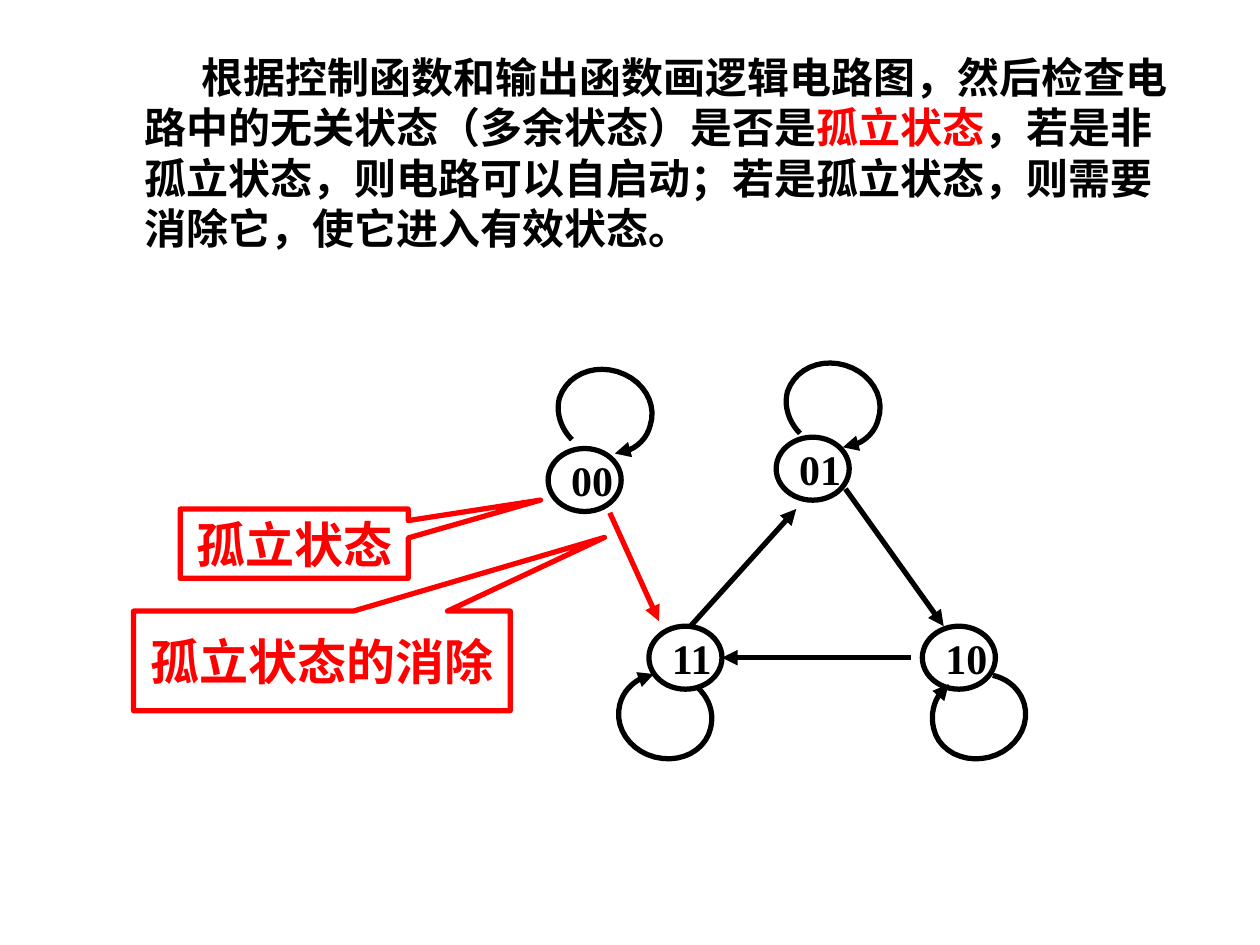
import pptx
import pptx.util
import pptx.dml.color
import pptx.enum.shapes
import pptx.enum.text
import pptx.oxml.ns
from lxml import etree

Inches = pptx.util.Inches
Pt = pptx.util.Pt
RGBColor = pptx.dml.color.RGBColor
Shape = pptx.enum.shapes.MSO_SHAPE
Anchor = pptx.enum.text.MSO_ANCHOR
qn = pptx.oxml.ns.qn

BLACK = RGBColor(0, 0, 0)
RED = RGBColor(255, 0, 0)

DIAGRAM_BOX = (4.35, 2.88, 3.8, 3.14)
STATE_SIZE = (0.58, 0.5)
# Top left corner of each state, from the corner of the diagram
STATES = {"00": (0, 0.68), "01": (1.81, 0.59), "10": (2.97, 2.09), "11": (0.8, 2.09)}
# Start and end of each transition, from the corner of the diagram
TRANSITIONS = [
    ((2.36, 1), (3.14, 2.09), BLACK),
    ((2.88, 2.34), (1.38, 2.34), BLACK),
    ((1.13, 2.09), (1.97, 1.16), BLACK),
    ((0.49, 1.19), (0.88, 2.05), RED),
]
# Chained cubic curves, from the top left corner of the state
UPPER_LOOP = [
    (0.19, -0.03), (0.1, -0.12), (0.06, -0.25), (0.09, -0.36),
    (0.15, -0.54), (0.35, -0.63), (0.55, -0.57), (0.75, -0.51),
    (0.87, -0.32), (0.81, -0.14), (0.78, -0.02), (0.67, 0.07), (0.53, 0.08),
]
LOOPS = {
    "00": [(x, y - 0.04) for x, y in UPPER_LOOP],
    "01": UPPER_LOOP,
    "10": [
        (0.56, 0.39), (0.69, 0.42), (0.78, 0.51), (0.81, 0.62),
        (0.86, 0.8), (0.73, 0.99), (0.53, 1.04), (0.33, 1.09),
        (0.13, 0.99), (0.09, 0.81), (0.06, 0.68), (0.1, 0.55), (0.21, 0.46),
    ],
    "11": [
        (0.38, 0.48), (0.48, 0.57), (0.52, 0.69), (0.49, 0.81),
        (0.45, 0.99), (0.25, 1.09), (0.05, 1.04), (-0.15, 0.99),
        (-0.28, 0.8), (-0.23, 0.62), (-0.2, 0.5), (-0.1, 0.41), (0.04, 0.38),
    ],
}
CURVE_STEPS = 10


def style_outline(shape, color):
    shape.shadow.inherit = False
    shape.fill.background()
    shape.line.color.rgb = color
    shape.line.width = Pt(3)


def style_font(font, name, size, color):
    font.name = name
    font.size = Pt(size)
    font.bold = True
    font.color.rgb = color


def add_arrowhead(shape):
    outline = shape._element.spPr.find(qn("a:ln"))
    etree.SubElement(outline, qn("a:tailEnd"), type="triangle")


def curve_points(controls):
    """Sample the chained cubic curves, start point included."""
    points = [controls[0]]
    for first in range(0, len(controls) - 1, 3):
        segment = controls[first:first + 4]
        for step in range(1, CURVE_STEPS + 1):
            t = step / CURVE_STEPS
            weights = ((1 - t) ** 3, 3 * t * (1 - t) ** 2, 3 * t * t * (1 - t), t ** 3)
            points.append(tuple(
                sum(weight * point[axis] for weight, point in zip(weights, segment))
                for axis in (0, 1)
            ))
    return points


def add_explanation(slide, box):
    frame = slide.shapes.add_textbox(*map(Inches, box)).text_frame
    frame.word_wrap = True
    paragraph = frame.paragraphs[0]
    properties = paragraph._p.get_or_add_pPr()
    properties.set("marL", str(Inches(0.38)))
    properties.set("indent", str(Inches(0.45)))
    for text, color in [
        ("根据控制函数和输出函数画逻辑电路图，然后检查电路中的无关状态（多余状态）是否是", BLACK),
        ("孤立状态", RED),
        ("，若是非孤立状态，则电路可以自启动；若是孤立状态，则需要消除它，使它进入有效状态。", BLACK),
    ]:
        run = paragraph.add_run()
        run.text = text
        style_font(run.font, "Arial", 24, color)


def add_state(slide, left, top, name):
    state = slide.shapes.add_shape(Shape.OVAL, *map(Inches, (left, top, *STATE_SIZE)))
    style_outline(state, BLACK)
    frame = state.text_frame
    frame.word_wrap = False
    frame.vertical_anchor = Anchor.MIDDLE
    paragraph = frame.paragraphs[0]
    paragraph.text = name
    paragraph.alignment = pptx.enum.text.PP_ALIGN.LEFT
    style_font(paragraph.font, "Times New Roman", 24, BLACK)


def add_loop(slide, left, top, controls):
    points = [(Inches(left + x), Inches(top + y)) for x, y in curve_points(controls)]
    builder = slide.shapes.build_freeform(*points[0])
    builder.add_line_segments(points[1:], close=False)
    loop = builder.convert_to_shape()
    style_outline(loop, BLACK)
    add_arrowhead(loop)


def add_transition(slide, left, top, start, end, color):
    ends = (left + start[0], top + start[1], left + end[0], top + end[1])
    arrow = slide.shapes.add_connector(
        pptx.enum.shapes.MSO_CONNECTOR.STRAIGHT, *map(Inches, ends))
    arrow.line.color.rgb = color
    arrow.line.width = Pt(3)
    add_arrowhead(arrow)
    etree.SubElement(arrow._element.spPr, qn("a:effectLst"))


def add_state_diagram(slide, box):
    left, top = box[:2]
    for name, (x, y) in STATES.items():
        add_state(slide, left + x, top + y, name)
        add_loop(slide, left + x, top + y, LOOPS[name])
    for start, end, color in TRANSITIONS:
        add_transition(slide, left, top, start, end, color)


def add_callout(slide, box, text, pointer):
    callout = slide.shapes.add_shape(Shape.RECTANGULAR_CALLOUT, *map(Inches, box))
    callout.adjustments[0], callout.adjustments[1] = pointer
    style_outline(callout, RED)
    callout.text_frame.vertical_anchor = Anchor.MIDDLE
    paragraph = callout.text_frame.paragraphs[0]
    paragraph.text = text
    paragraph.alignment = pptx.enum.text.PP_ALIGN.CENTER
    style_font(paragraph.font, "Times New Roman", 28, RED)


def main():
    presentation = pptx.Presentation()
    presentation.slide_width = Inches(10)
    presentation.slide_height = Inches(7.5)
    slide = presentation.slides.add_slide(presentation.slide_layouts[6])
    add_explanation(slide, (0.67, 0.36, 8.84, 1.73))
    add_state_diagram(slide, DIAGRAM_BOX)
    add_callout(slide, (1.43, 4.04, 1.81, 0.55), "孤立状态", (1.08, -0.63))
    add_callout(slide, (1.06, 4.85, 2.99, 0.79), "孤立状态的消除", (0.75, -1.24))
    presentation.save("out.pptx")


if __name__ == "__main__":
    main()
